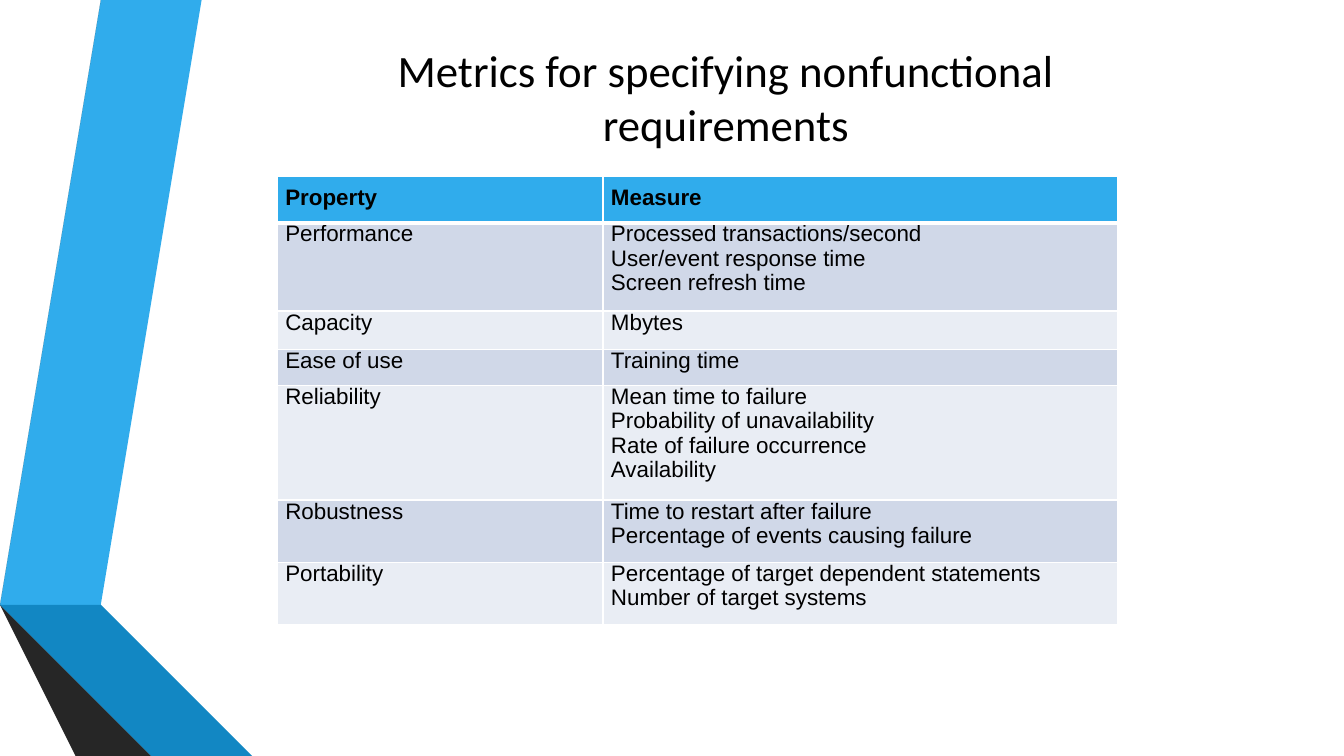
from dataclasses import dataclass

from lxml import etree
from pptx import Presentation
from pptx import util as u
from pptx.dml.color import RGBColor
from pptx.enum import text
from pptx.oxml import ns


@dataclass(frozen=True)
class Theme:
    """Colours, fonts and type sizes of the slide."""

    ink: str = "000000"
    border: str = "FFFFFF"
    header: str = "30ACEC"
    bands: tuple[str, str] = ("D0D8E8", "E9EDF4")
    title_font: str = "Calibri"
    table_font: str = "Arial"
    title_size: int = 32
    table_size: int = 16
    line_spacing: float = 0.97


@dataclass(frozen=True)
class Ribbon:
    """A filled outline, with its corner points in inches."""

    color: str
    points: tuple[tuple[float, float], ...]


@dataclass(frozen=True)
class Metric:
    """A table row: a property and the measures for it."""

    name: str
    measures: tuple[str, ...]
    height: float


THEME = Theme()

RIBBONS = (
    Ribbon("30ACEC", ((0.5, 5.78), (0.77, 5.83), (1.73, 0), (1.45, 0))),
    Ribbon("595959", ((1.39, 0), (1.11, 0), (0.16, 5.73), (0.44, 5.77))),
    Ribbon("262626", ((0.16, 5.73), (1.45, 7.5), (1.51, 7.5))),
    Ribbon("0C5A82", ((0.5, 5.79), (2.08, 7.5), (2.14, 7.5))),
    Ribbon("1287C3", ((0.5, 5.79), (2.14, 7.5), (2.83, 7.5), (0.77, 5.83), (0.5, 5.78))),
    Ribbon("404040", ((2.02, 7.5), (0.48, 5.83), (0.43, 5.77), (0.16, 5.73), (1.51, 7.5))),
)

METRICS = (
    Metric("Property", ("Measure",), 0.43),
    Metric(
        "Performance",
        ("Processed transactions/second", "User/event response time", "Screen refresh time"),
        0.84,
    ),
    Metric("Capacity", ("Mbytes",), 0.38),
    Metric("Ease of use", ("Training time",), 0.35),
    Metric(
        "Reliability",
        (
            "Mean time to failure",
            "Probability of unavailability",
            "Rate of failure occurrence",
            "Availability",
        ),
        1.09,
    ),
    Metric(
        "Robustness",
        ("Time to restart after failure", "Percentage of events causing failure"),
        0.6,
    ),
    Metric(
        "Portability",
        ("Percentage of target dependent statements", "Number of target systems"),
        0.6,
    ),
)

COLUMN_WIDTHS = (3.23, 5.1)


def add_run(paragraph, words: str, font: str, size: int, bold: bool = False) -> None:
    """Add one styled run to a paragraph."""
    run = paragraph.add_run()
    run.text = words
    run.font.name = font
    run.font.size = u.Pt(size)
    run.font.bold = bold
    run.font.color.rgb = RGBColor.from_string(THEME.ink)


def add_ribbon(slide, ribbon: Ribbon) -> None:
    """Draw one ribbon as a closed freeform."""
    start, *others = ribbon.points
    builder = slide.shapes.build_freeform(*start, scale=u.Inches(1))
    builder.add_line_segments(others, close=True)
    shape = builder.convert_to_shape()
    shape.shadow.inherit = False
    shape.fill.solid()
    shape.fill.fore_color.rgb = RGBColor.from_string(ribbon.color)
    shape.line.fill.background()


def add_title(slide, words: str) -> None:
    """Add the centred slide title."""
    box = slide.shapes.add_textbox(
        u.Inches(2.95), u.Inches(0.33), u.Inches(8.5), u.Inches(1.25)
    )
    frame = box.text_frame
    frame.word_wrap = True
    frame.vertical_anchor = text.MSO_ANCHOR.MIDDLE
    paragraph = frame.paragraphs[0]
    paragraph.alignment = text.PP_ALIGN.CENTER
    add_run(paragraph, words, THEME.title_font, THEME.title_size)


def set_borders(cell, top: int, bottom: int) -> None:
    """Give a cell solid borders, with top and bottom widths in points."""
    properties = cell._tc.get_or_add_tcPr()
    widths = {"lnL": 1, "lnR": 1, "lnT": top, "lnB": bottom}
    for position, (side, width) in enumerate(widths.items()):
        line = etree.Element(ns.qn(f"a:{side}"), w=str(u.Pt(width)))
        fill = etree.SubElement(line, ns.qn("a:solidFill"))
        etree.SubElement(fill, ns.qn("a:srgbClr"), val=THEME.border)
        properties.insert(position, line)


def fill_cell(cell, lines: tuple[str, ...], row: int) -> None:
    """Write and style one cell according to its row."""
    is_header = row == 0
    cell.margin_left = cell.margin_right = u.Inches(0.08)
    cell.margin_top = u.Inches(0.1 if is_header else 0)
    cell.margin_bottom = u.Inches(0.1)
    cell.fill.solid()
    color = THEME.header if is_header else THEME.bands[(row - 1) % 2]
    cell.fill.fore_color.rgb = RGBColor.from_string(color)
    set_borders(cell, top=3 if row == 1 else 1, bottom=3 if is_header else 1)
    frame = cell.text_frame
    for index, words in enumerate(lines):
        paragraph = frame.add_paragraph() if index else frame.paragraphs[0]
        paragraph.alignment = text.PP_ALIGN.JUSTIFY
        paragraph.line_spacing = THEME.line_spacing
        add_run(paragraph, words, THEME.table_font, THEME.table_size, is_header)


def add_metrics_table(slide, metrics: tuple[Metric, ...]) -> None:
    """Add the table of properties and measures."""
    table = slide.shapes.add_table(
        len(metrics),
        len(COLUMN_WIDTHS),
        u.Inches(2.75),
        u.Inches(1.75),
        u.Inches(sum(COLUMN_WIDTHS)),
        u.Inches(sum(metric.height for metric in metrics)),
    ).table
    for column, width in zip(table.columns, COLUMN_WIDTHS):
        column.width = u.Inches(width)
    for row, metric in enumerate(metrics):
        table.rows[row].height = u.Inches(metric.height)
        fill_cell(table.cell(row, 0), (metric.name,), row)
        fill_cell(table.cell(row, 1), metric.measures, row)


def main() -> None:
    """Build and save the slide."""
    presentation = Presentation()
    presentation.slide_width = u.Inches(13.33)
    presentation.slide_height = u.Inches(7.5)
    slide = presentation.slides.add_slide(presentation.slide_layouts[6])
    for ribbon in RIBBONS:
        add_ribbon(slide, ribbon)
    add_title(slide, "Metrics for specifying nonfunctional requirements")
    add_metrics_table(slide, METRICS)
    presentation.save("out.pptx")


if __name__ == "__main__":
    main()
